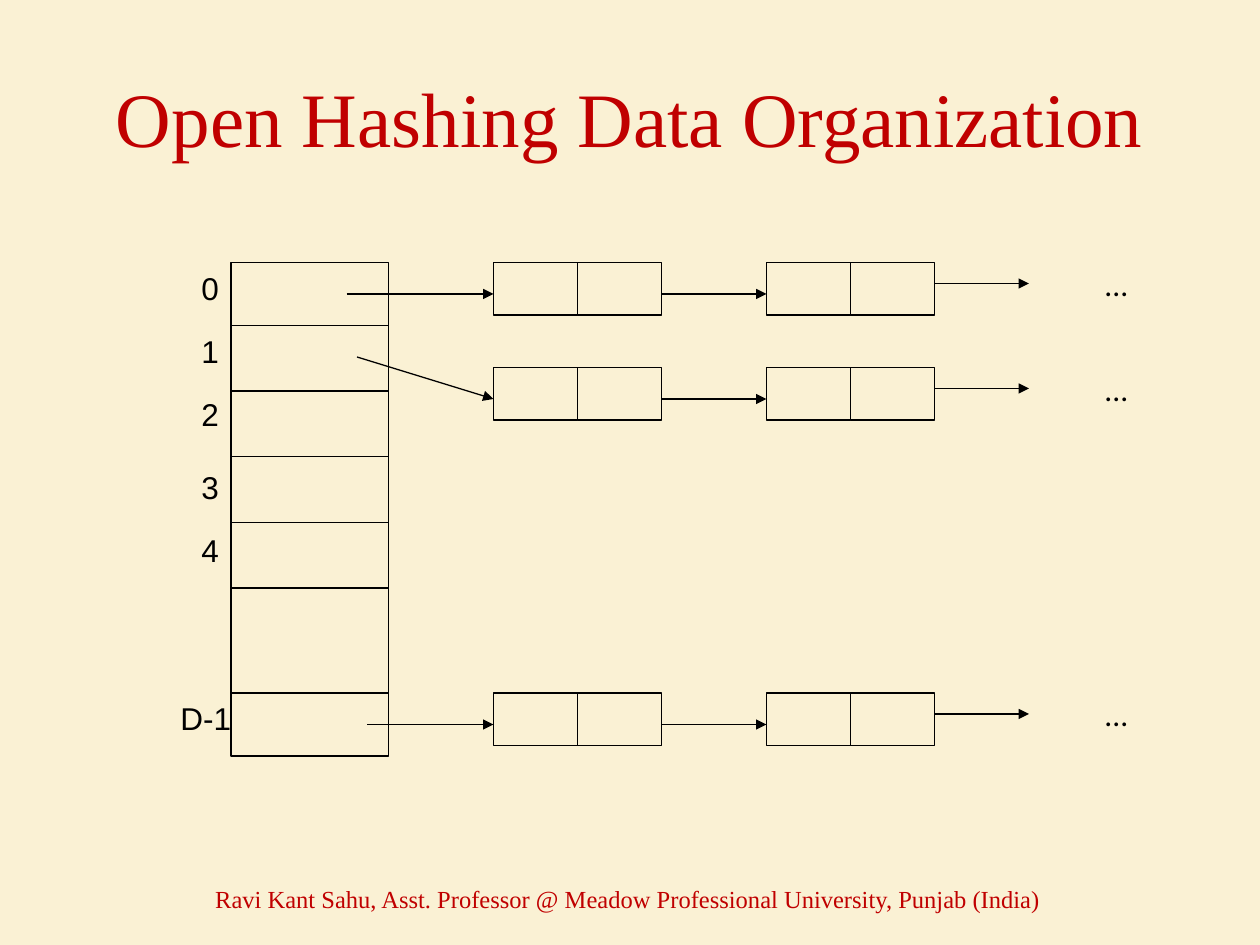
from lxml import etree
from pptx import Presentation
from pptx.dml.color import RGBColor
from pptx.enum.shapes import MSO_CONNECTOR, MSO_SHAPE
from pptx.enum.text import MSO_ANCHOR, PP_ALIGN
from pptx.oxml.ns import qn
from pptx.util import Cm, Pt

STRAIGHT = MSO_CONNECTOR.STRAIGHT
RECTANGLE = MSO_SHAPE.RECTANGLE
MIDDLE = MSO_ANCHOR.MIDDLE
LEFT, CENTER = PP_ALIGN.LEFT, PP_ALIGN.CENTER

COLORS = {"paper": "FAF1D4", "accent": "C00000", "ink": "000000"}
HEADING_FONT, LABEL_FONT, DOTS_FONT = "Times New Roman", "Arial", "Calibri"
GRID = 2.54 / 12

TABLE_LEFT, TABLE_TOP, TABLE_WIDTH, TABLE_HEIGHT = 22, 25, 15, 47
DIVIDERS = [31 + 6.25 * step for step in range(5)] + [66]
BUCKETS = [("0", 18, 25), ("1", 18, 31), ("2", 18, 37),
           ("3", 18, 44), ("4", 18, 50), ("D-1", 16, 66)]
CHAINS = [(25, 33, 28), (35, 34, 34), (66, 35, 69)]
NODE_LEFTS = (47, 73)
CELL_WIDTH, CELL_HEIGHT = 8, 5


def color(key):
    return RGBColor.from_string(COLORS[key])


def grid(*units):
    return [Cm(unit * GRID) for unit in units]


class SlideBuilder:
    def __init__(self, slide):
        self.slide = slide
        background = slide.background.fill
        background.solid()
        background.fore_color.rgb = color("paper")

    def set_text(self, holder, text, font_name, size, ink, align):
        frame = holder.text_frame
        frame.word_wrap = True
        frame.vertical_anchor = MIDDLE
        frame.text = text
        paragraph = frame.paragraphs[0]
        paragraph.alignment = align
        paragraph.font.name = font_name
        paragraph.font.size = Pt(size)
        paragraph.font.color.rgb = color(ink)
        return frame

    def title(self, text, left, top, width, height):
        heading = self.slide.shapes.title
        heading.left, heading.top = left, top
        heading.width, heading.height = width, height
        self.set_text(heading, text, HEADING_FONT, 44, "accent", CENTER)

    def footer(self, text, left, top, width, height):
        credit = self.slide.shapes.add_textbox(left, top, width, height)
        self.set_text(credit, text, HEADING_FONT, 14, "accent", CENTER)

    def label(self, text, font_name, left, top, width, height):
        tag = self.slide.shapes.add_textbox(*grid(left, top, width, height))
        frame = self.set_text(tag, text, font_name, 18, "ink", LEFT)
        frame.margin_right = 0

    def outline(self, line):
        line.color.rgb = color("ink")
        line.width = Pt(0.75)

    def box(self, left, top, width, height):
        cell = self.slide.shapes.add_shape(RECTANGLE, *grid(left, top, width, height))
        cell.shadow.inherit = False
        cell.fill.background()
        self.outline(cell.line)

    def line(self, start, end, arrow=False):
        link = self.slide.shapes.add_connector(STRAIGHT, *grid(*start, *end))
        self.outline(link.line)
        properties = link._element.spPr
        if arrow:
            head = etree.SubElement(properties.find(qn("a:ln")), qn("a:tailEnd"))
            head.set("type", "triangle")
        etree.SubElement(properties, qn("a:effectLst"))

    def node(self, left, top):
        for cell_left in (left, left + CELL_WIDTH):
            self.box(cell_left, top, CELL_WIDTH, CELL_HEIGHT)

    def chain(self, top, pointer_left, pointer_top):
        first, second = NODE_LEFTS
        node_width = 2 * CELL_WIDTH
        for left in NODE_LEFTS:
            self.node(left, top)
        self.line((pointer_left, pointer_top), (first, top + 3), arrow=True)
        self.line((first + node_width, top + 3), (second, top + 3), arrow=True)
        self.line((second + node_width, top + 2), (98, top + 2), arrow=True)
        self.label("...", DOTS_FONT, 104, top - 1, 5.4, 6)


def main():
    deck = Presentation()
    deck.slide_width, deck.slide_height = Cm(25.4), Cm(19.05)
    builder = SlideBuilder(deck.slides.add_slide(deck.slide_layouts[5]))

    builder.title("Open Hashing Data Organization",
                  Cm(1.27), Cm(0.76), Cm(22.86), Cm(3.18))
    builder.box(TABLE_LEFT, TABLE_TOP, TABLE_WIDTH, TABLE_HEIGHT)
    for height in DIVIDERS:
        builder.line((TABLE_LEFT, height), (TABLE_LEFT + TABLE_WIDTH, height))
    for bucket, left, top in BUCKETS:
        builder.label(bucket, LABEL_FONT, left, top, 7.2, 4.8)
    for top, pointer_left, pointer_top in CHAINS:
        builder.chain(top, pointer_left, pointer_top)
    builder.footer("Ravi Kant Sahu, Asst. Professor @ Meadow Professional University, Punjab (India)",
                   Cm(2.12), Cm(17.6), Cm(21.08), Cm(1.02))

    deck.save("out.pptx")


if __name__ == "__main__":
    main()
